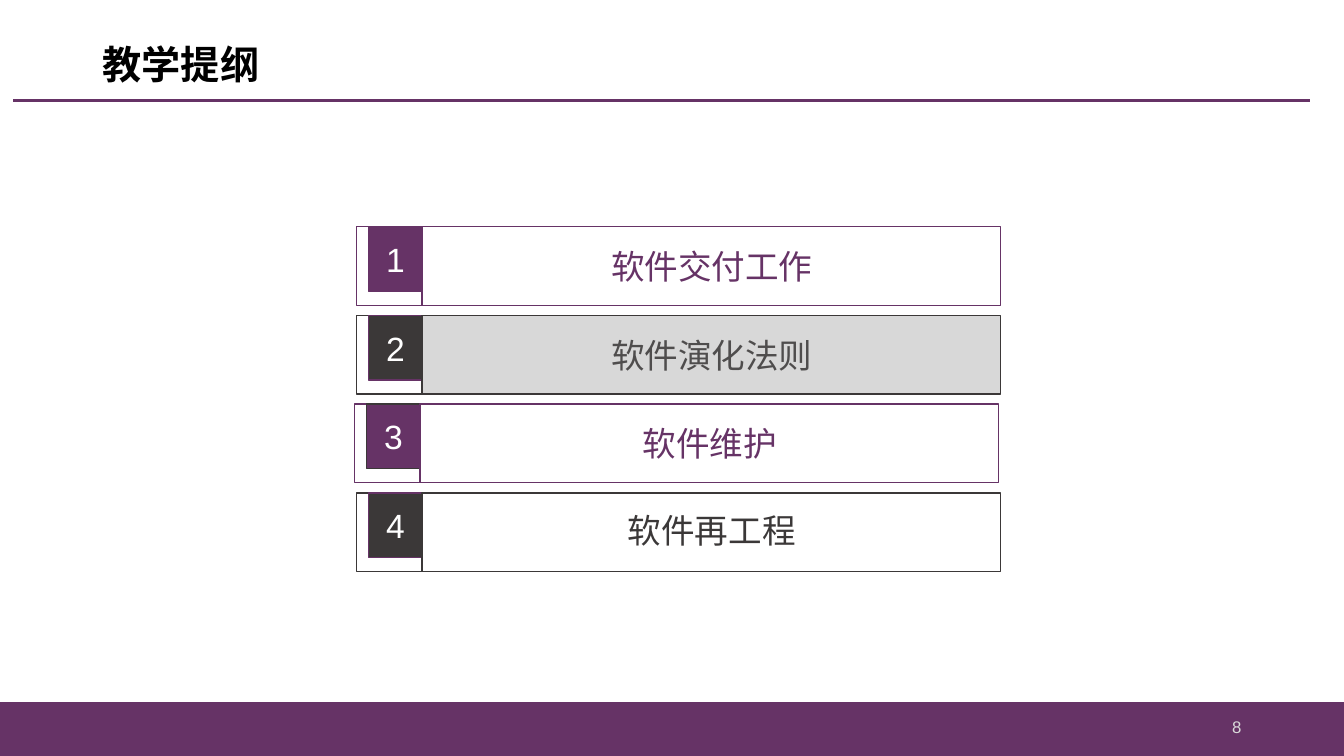
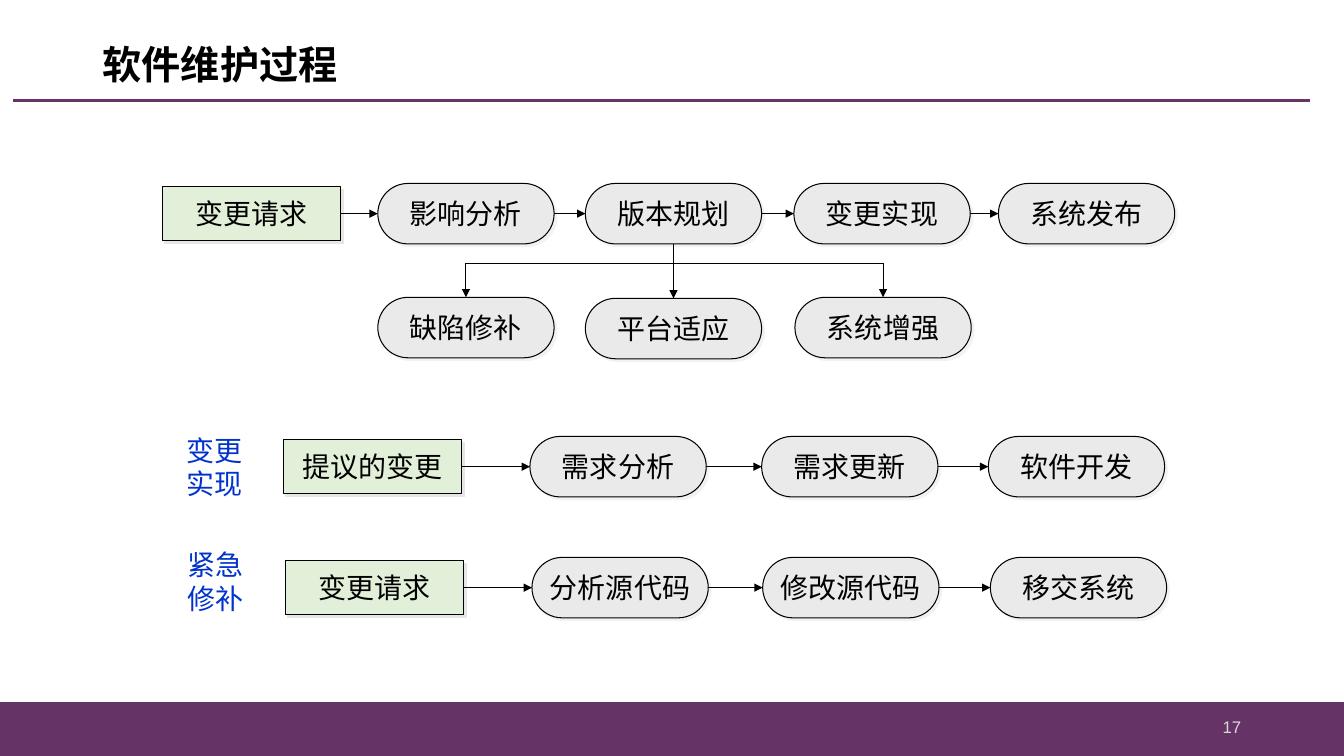
from dataclasses import dataclass
from itertools import pairwise

from lxml import etree
from pptx import Presentation
from pptx.dml.color import RGBColor
from pptx.enum.shapes import MSO_CONNECTOR, MSO_SHAPE
from pptx.enum.text import MSO_ANCHOR, MSO_AUTO_SIZE, PP_ALIGN
from pptx.oxml.ns import qn
from pptx.presentation import Presentation as Deck
from pptx.shapes.autoshape import Shape
from pptx.shapes.connector import Connector
from pptx.slide import Slide, SlideLayout
from pptx.util import Inches, Pt

RECT, PILL = MSO_SHAPE.RECTANGLE, MSO_SHAPE.ROUNDED_RECTANGLE
STRAIGHT = MSO_CONNECTOR.STRAIGHT
LEFT, CENTER, RIGHT = PP_ALIGN.LEFT, PP_ALIGN.CENTER, PP_ALIGN.RIGHT
TOP, MIDDLE = MSO_ANCHOR.TOP, MSO_ANCHOR.MIDDLE

COLORS = {
    "plum": "663366",
    "charcoal": "3B3838",
    "highlight": "7F7F7F",
    "request": "E2F0D9",
    "step": "EAEAEA",
    "shadow": "E7E6E6",
    "label": "0033CC",
    "number": "D9D9D9",
    "black": "000000",
    "white": "FFFFFF",
}
LATIN, NUMERAL, CHINESE = "Calibri", "Arial", "Noto Sans CJK SC"
SLIDE_W, SLIDE_H = 13.34, 7.5
BAND_TOP = 6.97
TITLE_ONLY = 5

OUTLINE_TOP, OUTLINE_PITCH = 2.25, 0.88
ROW_H, INDEX_W, PANEL_W = 0.78, 0.65, 5.74
BADGE_W, BADGE_H = 0.53, 0.64

REQUEST_W, REQUEST_H = 1.77, 0.53
STEP_W, STEP_H = 1.75, 0.6
BRANCH_BAR_Y = 2.61


@dataclass(frozen=True)
class Box:
    left: float
    top: float
    width: float
    height: float


@dataclass(frozen=True)
class TextStyle:
    font: str
    size: float
    color: str
    align: PP_ALIGN = CENTER
    anchor: MSO_ANCHOR = MIDDLE
    bold: bool = False


@dataclass(frozen=True)
class Chapter:
    name: str
    color: str
    badge_edge: str = "plum"
    left: float = 3.54
    name_drop: float = 0.14
    current: bool = False


@dataclass(frozen=True)
class Step:
    name: str
    left: float
    middle: float
    is_request: bool = False

    @property
    def box(self) -> Box:
        width, height = (REQUEST_W, REQUEST_H) if self.is_request else (STEP_W, STEP_H)
        return Box(self.left, self.middle - height / 2, width, height)

    @property
    def right(self) -> float:
        return self.left + self.box.width

    @property
    def center(self) -> float:
        return self.left + self.box.width / 2


@dataclass(frozen=True)
class Flow:
    middle: float
    names: tuple[str, ...]
    lefts: tuple[float, ...]

    def steps(self) -> list[Step]:
        return [
            Step(name, left, self.middle, is_request=position == 0)
            for position, (name, left) in enumerate(zip(self.names, self.lefts))
        ]


TITLE_STYLE = TextStyle(LATIN, 28, "black", LEFT, bold=True)
PAGE_STYLE = TextStyle(NUMERAL, 12, "number", RIGHT)
BADGE_STYLE = TextStyle(NUMERAL, 24, "white")
STEP_STYLE = TextStyle(CHINESE, 20, "black")
LABEL_STYLE = TextStyle(CHINESE, 20, "label")

CHAPTERS = (
    Chapter("软件交付工作", "plum"),
    Chapter("软件演化法则", "charcoal", current=True),
    Chapter("软件维护", "plum", badge_edge="charcoal", left=3.52),
    Chapter("软件再工程", "charcoal", name_drop=0.12),
)
FLOWS = (
    Flow(2.12, ("变更请求", "影响分析", "版本规划", "变更实现", "系统发布"),
         (1.61, 3.75, 5.81, 7.88, 9.91)),
    Flow(4.63, ("提议的变更", "需求分析", "需求更新", "软件开发"),
         (2.81, 5.26, 7.56, 9.81)),
    Flow(5.83, ("变更请求", "分析源代码", "修改源代码", "移交系统"),
         (2.83, 5.28, 7.57, 9.83)),
)
BRANCHES = (
    Step("缺陷修补", 3.75, 3.25),
    Step("平台适应", 5.81, 3.26),
    Step("系统增强", 7.89, 3.25),
)
FLOW_LABELS = {
    "变更实现": Box(1.69, 4.28, 0.88, 0.7),
    "紧急修补": Box(1.7, 5.42, 0.88, 0.7),
}


def rgb(color: str) -> RGBColor:
    return RGBColor.from_string(COLORS[color])


def inches(box: Box) -> tuple[Inches, ...]:
    return Inches(box.left), Inches(box.top), Inches(box.width), Inches(box.height)


def write(shape: Shape, text: str, style: TextStyle, wrap: bool = True) -> None:
    frame = shape.text_frame
    frame.text = text
    frame.word_wrap = wrap
    frame.auto_size = MSO_AUTO_SIZE.NONE
    frame.vertical_anchor = style.anchor
    paragraph = frame.paragraphs[0]
    paragraph.alignment = style.align
    font = paragraph.font
    font.name, font.size, font.bold = style.font, Pt(style.size), style.bold
    font.color.rgb = rgb(style.color)


def add_text(slide: Slide, box: Box, text: str, style: TextStyle) -> None:
    write(slide.shapes.add_textbox(*inches(box)), text, style)


def add_box(slide: Slide, box: Box, edge: str, fill: str | None = None,
            weight: float = 1, preset: MSO_SHAPE = RECT) -> Shape:
    shape = slide.shapes.add_shape(preset, *inches(box))
    shape.shadow.inherit = False
    if fill:
        shape.fill.solid()
        shape.fill.fore_color.rgb = rgb(fill)
    else:
        shape.fill.background()
    shape.line.color.rgb = rgb(edge)
    shape.line.width = Pt(weight)
    return shape


def set_alpha(color: etree._Element, percent: int) -> None:
    etree.SubElement(color, qn("a:alpha"), val=str(percent * 1000))


def cast_shadow(shape: Shape, percent: int) -> None:
    effects = shape.element.spPr.find(qn("a:effectLst"))
    shadow = etree.SubElement(effects, qn("a:outerShdw"), dist=str(Pt(2.8)),
                              dir="2700000", algn="ctr", rotWithShape="0")
    set_alpha(etree.SubElement(shadow, qn("a:srgbClr"), val=COLORS["shadow"]), percent)


def add_line(slide: Slide, x1: float, y1: float, x2: float, y2: float,
             color: str = "black", weight: float = 0.75, arrow: bool = True) -> Connector:
    line = slide.shapes.add_connector(STRAIGHT, Inches(x1), Inches(y1), Inches(x2), Inches(y2))
    line.line.color.rgb = rgb(color)
    line.line.width = Pt(weight)
    properties = line.element.spPr
    if arrow:
        etree.SubElement(properties.find(qn("a:ln")), qn("a:tailEnd"), type="triangle")
    etree.SubElement(properties, qn("a:effectLst"))
    return line


def decorate_layout(layout: SlideLayout, slide: Slide) -> None:
    for placeholder in list(layout.placeholders):
        if placeholder.placeholder_format.idx:
            layout.shapes.element.remove(placeholder.element)
    band = add_box(slide, Box(0, BAND_TOP, SLIDE_W, SLIDE_H - BAND_TOP), "plum", "plum")
    rule = add_line(slide, 0.13, 1, 13, 1, "plum", 2.25, arrow=False)
    for decoration in (band, rule):
        layout.shapes.element.append(decoration.element)


def add_slide(deck: Deck, title: str, page: int) -> Slide:
    layout = deck.slide_layouts[TITLE_ONLY]
    slide = deck.slides.add_slide(layout)
    if len(deck.slides) == 1:
        decorate_layout(layout, slide)
    heading = slide.shapes.title
    heading.left, heading.top, heading.width, heading.height = inches(Box(0.92, 0.3, 11.5, 0.73))
    write(heading, title, TITLE_STYLE)
    heading.text_frame.paragraphs[0].line_spacing = 0.9
    add_text(slide, Box(9.42, 7.01, 3, 0.4), str(page), PAGE_STYLE)
    return slide


def add_chapter(slide: Slide, number: int, chapter: Chapter) -> None:
    top = OUTLINE_TOP + (number - 1) * OUTLINE_PITCH
    panel_left = chapter.left + INDEX_W
    add_box(slide, Box(chapter.left, top, INDEX_W, ROW_H), chapter.color)
    badge = add_box(slide, Box(panel_left - BADGE_W, top, BADGE_W, BADGE_H),
                    chapter.badge_edge, chapter.color)
    write(badge, str(number), BADGE_STYLE)
    add_text(slide, Box(chapter.left + 1.62, top + chapter.name_drop, 3.81, 0.5),
             chapter.name, TextStyle(LATIN, 24, chapter.color, anchor=TOP))
    panel = add_box(slide, Box(panel_left, top, PANEL_W, ROW_H), chapter.color,
                    "highlight" if chapter.current else None)
    if chapter.current:
        set_alpha(panel.element.spPr.find(qn("a:solidFill"))[0], 30)


def add_step(slide: Slide, step: Step) -> None:
    preset, fill, opacity = (RECT, "request", 100) if step.is_request else (PILL, "step", 50)
    shape = add_box(slide, step.box, "black", fill, 0.75, preset)
    if preset == PILL:
        shape.adjustments[0] = 0.5
    cast_shadow(shape, opacity)
    write(shape, step.name, STEP_STYLE, wrap=False)


def add_flow(slide: Slide, flow: Flow) -> None:
    steps = flow.steps()
    for step in steps:
        add_step(slide, step)
    for before, after in pairwise(steps):
        add_line(slide, before.right, flow.middle, after.left, flow.middle)


def add_branches(slide: Slide, planning: Step) -> None:
    add_line(slide, BRANCHES[0].center, BRANCH_BAR_Y, BRANCHES[-1].center, BRANCH_BAR_Y,
             arrow=False)
    for branch in BRANCHES:
        add_step(slide, branch)
        is_below = branch.left == planning.left
        start = planning.middle + STEP_H / 2 if is_below else BRANCH_BAR_Y
        add_line(slide, branch.center, start, branch.center, branch.box.top)


def main() -> None:
    deck = Presentation()
    deck.slide_width, deck.slide_height = Inches(SLIDE_W), Inches(SLIDE_H)

    outline = add_slide(deck, "教学提纲", 8)
    for number, chapter in enumerate(CHAPTERS, start=1):
        add_chapter(outline, number, chapter)

    process = add_slide(deck, "软件维护过程", 17)
    for flow in FLOWS:
        add_flow(process, flow)
    add_branches(process, FLOWS[0].steps()[2])
    for label, box in FLOW_LABELS.items():
        add_text(process, box, label, LABEL_STYLE)

    deck.save("out.pptx")


if __name__ == "__main__":
    main()
